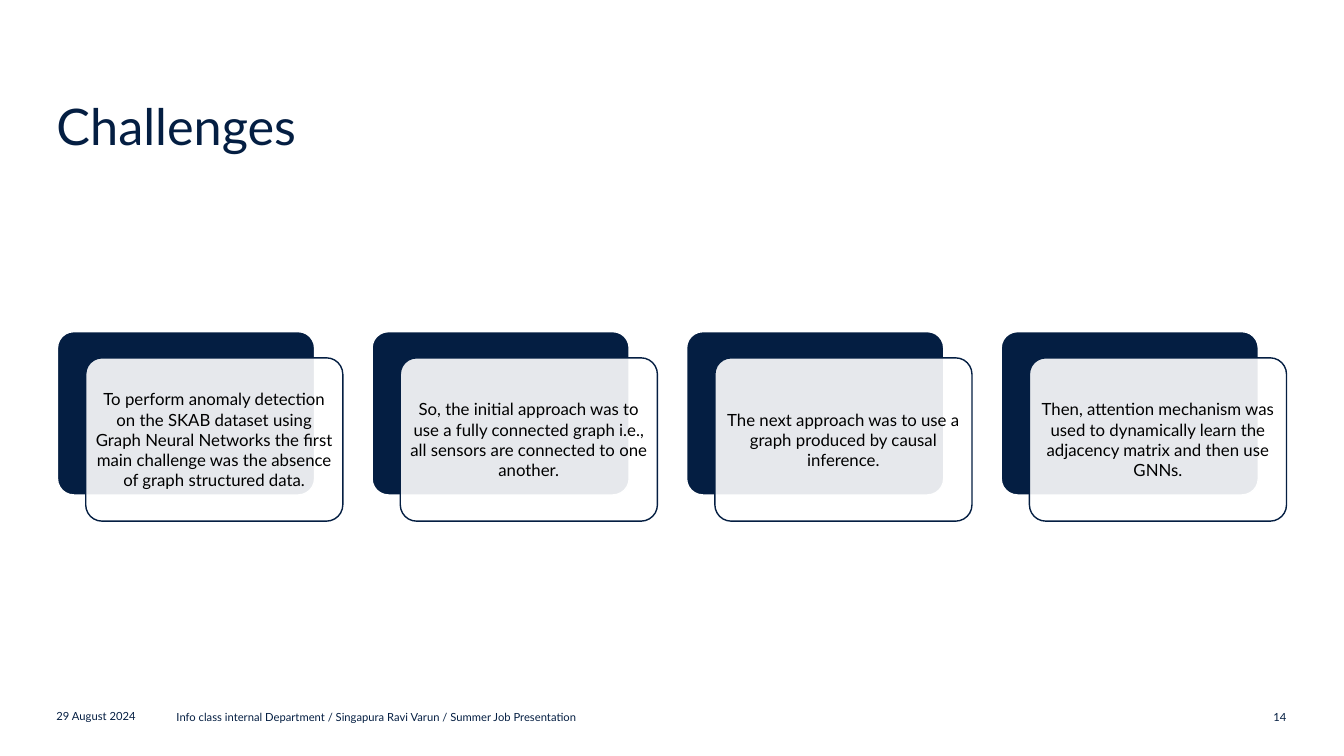
"""Build the Challenges slide with four overlapping card pairs."""
import lxml.etree
import pptx
import pptx.dml.color
import pptx.enum.shapes
import pptx.enum.text
import pptx.oxml.ns
import pptx.util

Inches = pptx.util.Inches
Pt = pptx.util.Pt
ALIGN = pptx.enum.text.PP_ALIGN
ANCHOR = pptx.enum.text.MSO_ANCHOR
NAVY = "041E42"
WHITE = "FFFFFF"


def color(value):
    return pptx.dml.color.RGBColor.from_string(value)


def write(shape, text, size, text_color=NAVY, align=ALIGN.LEFT, anchor=ANCHOR.MIDDLE, inset=0):
    frame = shape.text_frame
    frame.word_wrap = True
    frame.auto_size = pptx.enum.text.MSO_AUTO_SIZE.NONE
    frame.vertical_anchor = anchor
    frame.margin_left = frame.margin_right = Inches(inset)
    frame.margin_top = frame.margin_bottom = Inches(inset)
    paragraph = frame.paragraphs[0]
    paragraph.text = text
    paragraph.alignment = align
    paragraph.font.name = "Lato"
    paragraph.font.size = Pt(size)
    paragraph.font.color.rgb = color(text_color)
    return paragraph


presentation = pptx.Presentation()
presentation.slide_width = Inches(13.33)
presentation.slide_height = Inches(7.5)
slide = presentation.slides.add_slide(presentation.slide_layouts[5])

title = slide.shapes.title
title.left, title.top = Inches(0.56), Inches(0.4)
title.width, title.height = Inches(11.58), Inches(1.15)
write(title, "Challenges", 36, anchor=ANCHOR.BOTTOM).line_spacing = 0.9

challenges = [
    "To perform anomaly detection on the SKAB dataset using Graph Neural Networks "
    "the first main challenge was the absence of graph structured data.",
    "So, the initial approach was to use a fully connected graph i.e., "
    "all sensors are connected to one another.",
    "The next approach was to use a graph produced by causal inference.",
    "Then, attention mechanism was used to dynamically learn the adjacency matrix "
    "and then use GNNs.",
]
card_layers = [(0, 3.29, NAVY, WHITE), (0.28, 3.55, WHITE, NAVY)]

for index, challenge in enumerate(challenges):
    for offset, top, fill_color, line_color in card_layers:
        card = slide.shapes.add_shape(
            pptx.enum.shapes.MSO_SHAPE.ROUNDED_RECTANGLE,
            Inches(0.57 + 3.12 * index + offset), Inches(top), Inches(2.55), Inches(1.62))
        card.adjustments[0] = 0.1
        card.shadow.inherit = False
        card.fill.solid()
        card.fill.fore_color.rgb = color(fill_color)
        card.line.color.rgb = color(line_color)
        card.line.width = Pt(1)
    front_color = card.fill._xPr.find(".//" + pptx.oxml.ns.qn("a:srgbClr"))
    lxml.etree.SubElement(front_color, pptx.oxml.ns.qn("a:alpha"), val="90000")
    write(card, challenge, 12, "000000", ALIGN.CENTER, inset=0.05)

footers = [
    (0.56, 6.99, 1.1, "29 August 2024", ALIGN.LEFT),
    (1.75, 7, 7.21, "Info class internal Department / Singapura Ravi Varun / Summer Job Presentation",
     ALIGN.LEFT),
    (12.21, 7, 0.55, "14", ALIGN.RIGHT),
]
for left, top, width, text, align in footers:
    footer = slide.shapes.add_textbox(Inches(left), Inches(top), Inches(width), Inches(0.23))
    write(footer, text, 8, align=align)

presentation.save("out.pptx")
